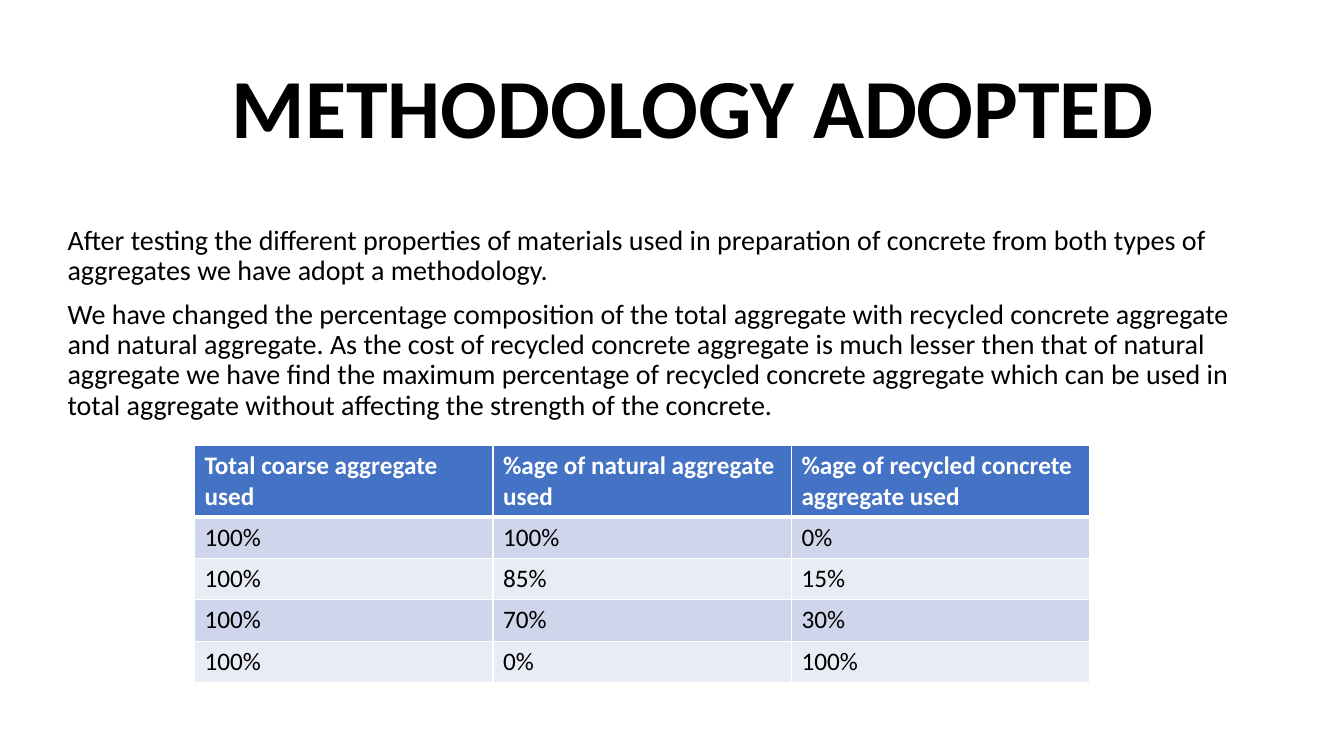
from lxml import etree
from pptx import Presentation
from pptx.dml.color import RGBColor
from pptx.enum.text import MSO_ANCHOR, MSO_AUTO_SIZE, PP_ALIGN
from pptx.oxml.ns import qn
from pptx.util import Inches, Pt

TOP, LEFT = MSO_ANCHOR.TOP, PP_ALIGN.LEFT
NO_AUTOFIT = MSO_AUTO_SIZE.NONE
FONT = "Calibri"
BLACK, WHITE, HEADER_BLUE = "000000", "FFFFFF", "4472C4"
BANDS = ("CFD5EA", "E9EBF5")

TITLE = "METHODOLOGY ADOPTED"
BODY = [
    "After testing the different properties of materials used in preparation of concrete "
    "from both types of aggregates we have adopt a methodology.",
    "We have changed the percentage composition of the total aggregate with recycled concrete "
    "aggregate and natural aggregate. As the cost of recycled concrete aggregate is much lesser "
    "then that of natural aggregate we have find the maximum percentage of recycled concrete "
    "aggregate which can be used in total aggregate without affecting the strength of the concrete.",
]
MIXES = [
    ("Total coarse aggregate used", "%age of natural aggregate used",
     "%age of recycled concrete aggregate used"),
    ("100%", "100%", "0%"),
    ("100%", "85%", "15%"),
    ("100%", "70%", "30%"),
    ("100%", "0%", "100%"),
]
TITLE_BOX = (2.25, 0.63, 9.67, 1.5)
BODY_BOX = (0.57, 2.19, 12.2, 2.56)
TABLE_LEFT, TABLE_TOP = 1.93, 4.42
COLUMN_WIDTH, HEADER_HEIGHT, ROW_HEIGHT = 2.96, 0.7, 0.41


def color(value):
    return RGBColor.from_string(value)


def write(frame, paragraphs, size, fill=BLACK, bold=False, spacing=1.0, before=0):
    for index, text in enumerate(paragraphs):
        paragraph = frame.paragraphs[0] if index == 0 else frame.add_paragraph()
        paragraph.text = text
        paragraph.alignment = LEFT
        paragraph.line_spacing = spacing
        paragraph.space_before = Pt(before if index else 0)
        font = paragraph.font
        font.name, font.size, font.bold = FONT, Pt(size), bold
        font.color.rgb = color(fill)


def place(shape, box, inset_left, inset_top):
    shape.left, shape.top, shape.width, shape.height = map(Inches, box)
    frame = shape.text_frame
    frame.word_wrap = True
    frame.auto_size = NO_AUTOFIT
    frame.vertical_anchor = TOP
    frame.margin_left, frame.margin_top = Inches(inset_left), Inches(inset_top)
    return frame


def remove_bullets(frame):
    for paragraph in frame.paragraphs:
        properties = paragraph._p.get_or_add_pPr()
        properties.set("marL", "0")
        properties.set("indent", "0")
        etree.SubElement(properties, qn("a:buNone"))


def set_borders(cell, top, bottom):
    properties = cell._tc.get_or_add_tcPr()
    widths = {"a:lnL": 1, "a:lnR": 1, "a:lnT": top, "a:lnB": bottom}
    for index, (side, width) in enumerate(widths.items()):
        line = etree.Element(qn(side), w=str(Pt(width)))
        fill = etree.SubElement(line, qn("a:solidFill"))
        etree.SubElement(fill, qn("a:srgbClr"), val=WHITE)
        properties.insert(index, line)


def add_mix_table(slide):
    rows, columns = len(MIXES), len(MIXES[0])
    heights = [HEADER_HEIGHT] + [ROW_HEIGHT] * (rows - 1)
    table = slide.shapes.add_table(
        rows, columns, Inches(TABLE_LEFT), Inches(TABLE_TOP),
        Inches(COLUMN_WIDTH * columns), Inches(sum(heights))).table
    for column in table.columns:
        column.width = Inches(COLUMN_WIDTH)
    for row, values in enumerate(MIXES):
        header = row == 0
        table.rows[row].height = Inches(heights[row])
        for column, text in enumerate(values):
            cell = table.cell(row, column)
            write(cell.text_frame, [text], 18, WHITE if header else BLACK, header)
            cell.fill.solid()
            cell.fill.fore_color.rgb = color(HEADER_BLUE if header else BANDS[(row - 1) % 2])
            set_borders(cell, 3 if row == 1 else 1, 3 if header else 1)


def main():
    presentation = Presentation()
    presentation.slide_width, presentation.slide_height = Inches(13.33), Inches(7.5)
    slide = presentation.slides.add_slide(presentation.slide_layouts[1])
    title = place(slide.shapes.title, TITLE_BOX, 0.05, 0.1)
    write(title, [TITLE], 60, bold=True, spacing=0.8)
    body = place(slide.placeholders[1], BODY_BOX, 0.1, 0.05)
    write(body, BODY, 20, spacing=0.9, before=10)
    remove_bullets(body)
    add_mix_table(slide)
    presentation.save("out.pptx")


if __name__ == "__main__":
    main()
